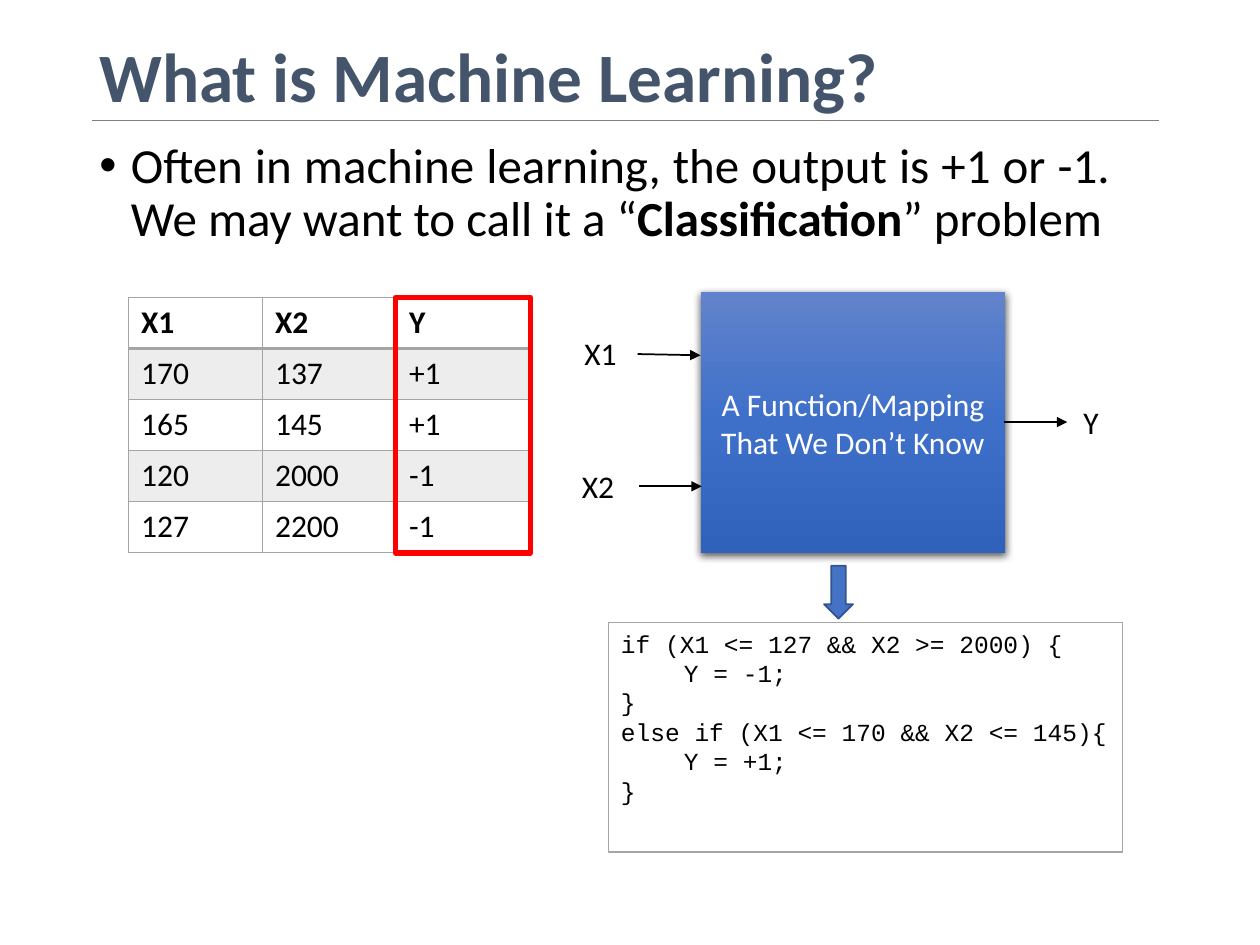
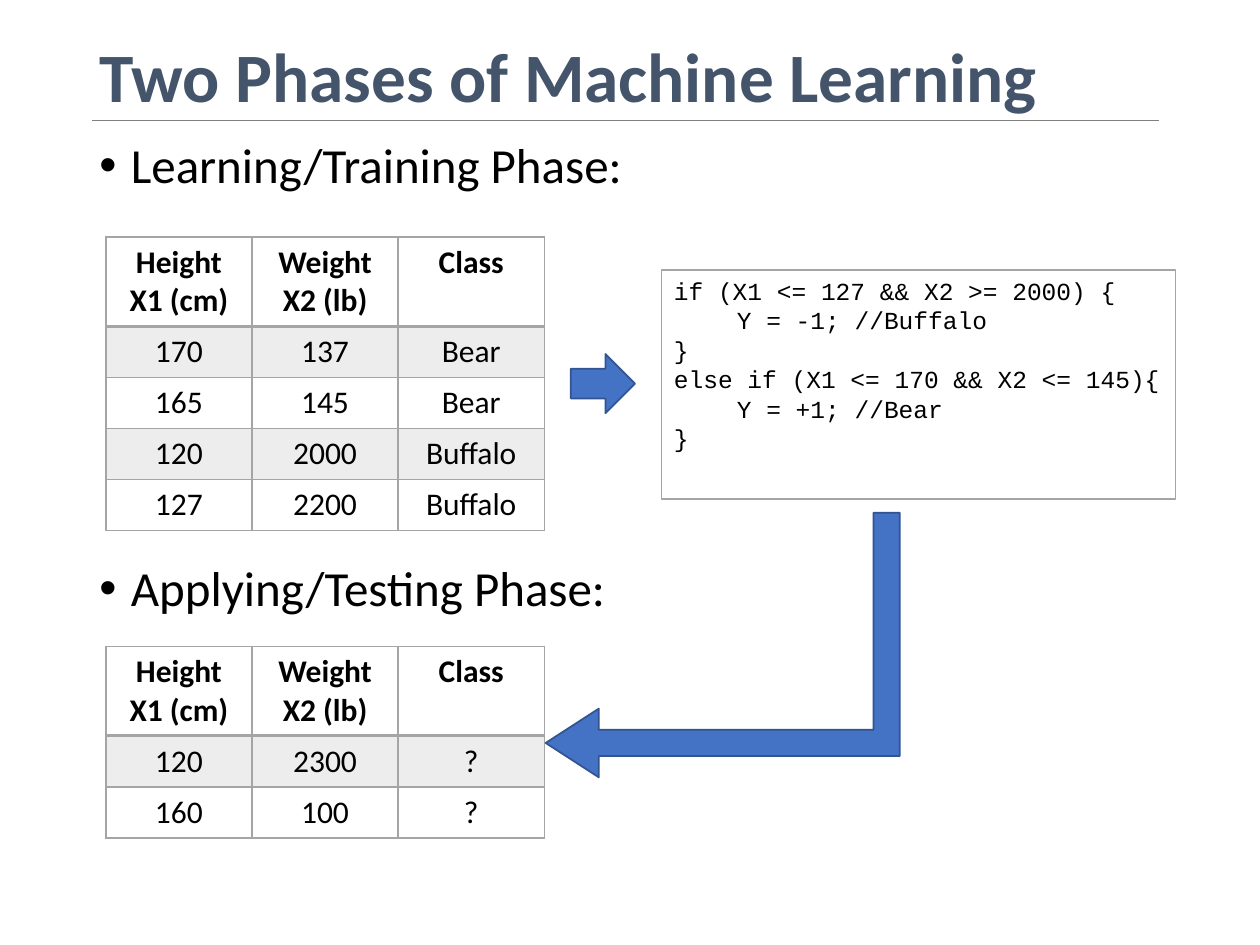
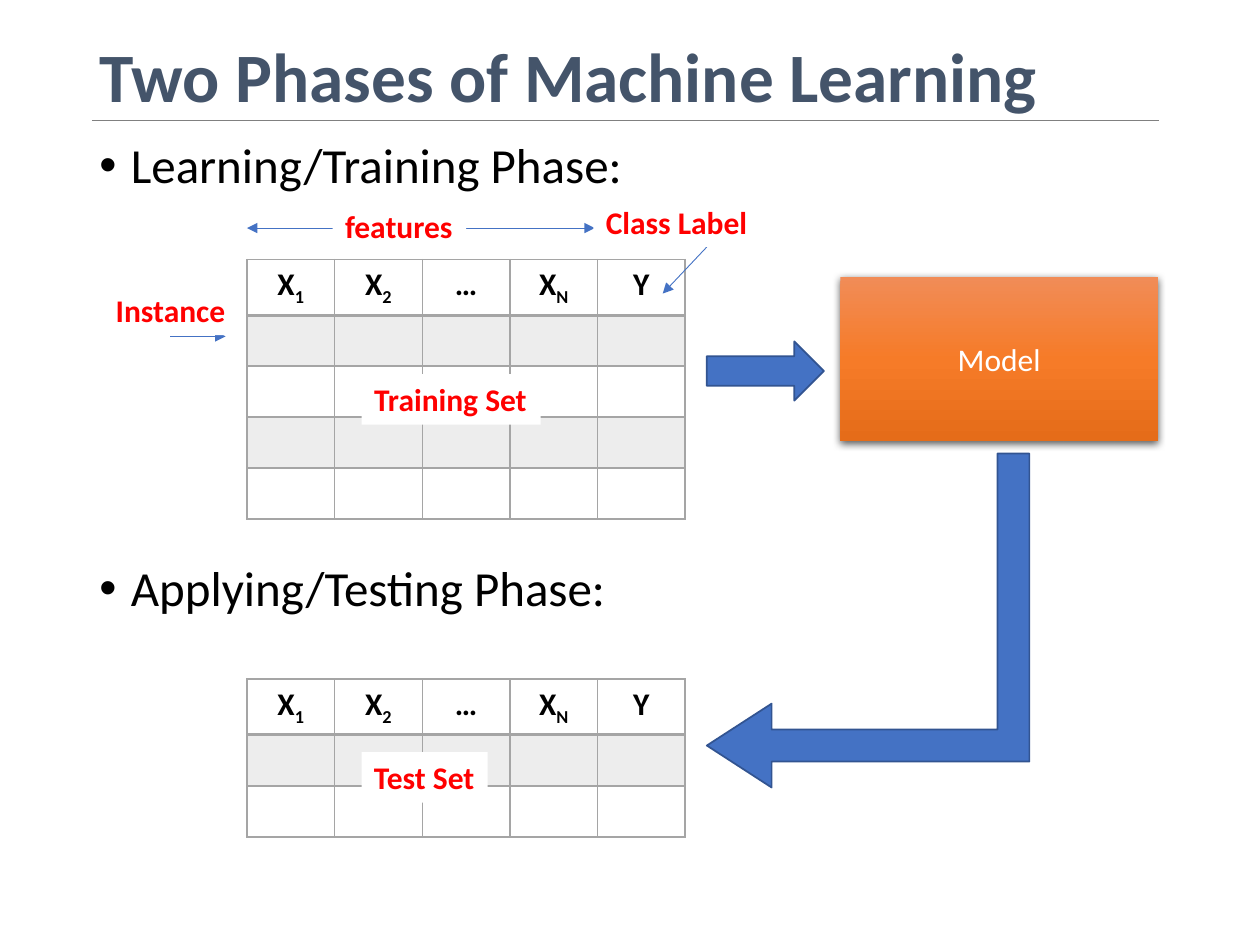
from dataclasses import dataclass

from pptx import Presentation
from pptx.dml.color import RGBColor
from pptx.enum.shapes import MSO_CONNECTOR, MSO_SHAPE as Preset
from pptx.enum.text import MSO_ANCHOR as Anchor, MSO_AUTO_SIZE as AutoSize, PP_ALIGN as Align
from pptx.oxml import parse_xml
from pptx.oxml.ns import nsdecls, qn
from pptx.util import Inches, Pt


@dataclass(frozen=True)
class Theme:
    font: str = "Calibri"
    code_font: str = "Courier New"
    title_size: float = 39.6
    bullet_size: float = 28
    text_size: float = 18
    code_size: float = 14
    title: str = "44546A"
    rule: str = "808080"
    black: str = "000000"
    white: str = "FFFFFF"
    red: str = "FF0000"
    grid: str = "A5A5A5"
    band: str = "EDEDED"
    arrow: str = "4472C4"
    arrow_edge: str = "325491"
    blue_gradient: tuple = ("6183CB", "3E70CA", "3062BB")
    orange_gradient: tuple = ("F18C57", "F67B28", "E56C19")


@dataclass(frozen=True)
class Box:
    """A rectangle in inches."""
    left: float
    top: float
    width: float
    height: float

    def lengths(self):
        return [Inches(value) for value in (self.left, self.top, self.width, self.height)]

    def offset(self, right, down, width, height):
        """Return a rectangle placed from this one's top left corner."""
        return Box(self.left + right, self.top + down, width, height)

    def point(self, right, down):
        return self.left + right, self.top + down


THEME = Theme()
TITLE_BOX = Box(0.69, 0.4, 8.62, 0.47)
BODY_BOX = Box(0.69, 1.07, 8.22, 5.68)
SECOND_BULLET_DROP = 3.36
ROW_HEIGHT = 0.405

CODE = """if (X1 <= 127 && X2 >= 2000) {{
\tY = -1;{negative}
}}
else if (X1 <= 170 && X2 <= 145){{
\tY = +1;{positive}
}}"""


def rgb(color):
    return RGBColor.from_string(color)


def drawing_xml(tag, attributes="", content=""):
    return parse_xml(f'<a:{tag} {nsdecls("a")} {attributes}>{content}</a:{tag}>')


def style_text(frame, size=THEME.text_size, color=THEME.black, bold=False,
               align=Align.LEFT, font=THEME.font):
    for paragraph in frame.paragraphs:
        paragraph.alignment = align
        paragraph.font.name = font
        paragraph.font.size = Pt(size)
        paragraph.font.bold = bold
        paragraph.font.color.rgb = rgb(color)


def add_text(slide, box, text, **style):
    frame = slide.shapes.add_textbox(*box.lengths()).text_frame
    frame.word_wrap = True
    frame.text = text
    style_text(frame, **style)
    return frame


def add_label(slide, box, text, fill=None, **style):
    """Add a one-line text box that fits its text."""
    label = slide.shapes.add_textbox(*box.lengths())
    if fill:
        label.fill.solid()
        label.fill.fore_color.rgb = rgb(fill)
    frame = label.text_frame
    frame.word_wrap = False
    frame.auto_size = AutoSize.SHAPE_TO_FIT_TEXT
    frame.text = text
    style_text(frame, **style)


def add_tag(slide, box, text):
    add_label(slide, box, text, fill=THEME.white, color=THEME.red, bold=True)


def add_preset(slide, preset, box, fill=None, edge=None, edge_width=1):
    shape = slide.shapes.add_shape(preset, *box.lengths())
    shape.shadow.inherit = False
    if fill:
        shape.fill.solid()
        shape.fill.fore_color.rgb = rgb(fill)
    else:
        shape.fill.background()
    shape.line.color.rgb = rgb(edge)
    shape.line.width = Pt(edge_width)
    return shape


def add_block_arrow(slide, preset, box):
    return add_preset(slide, preset, box, THEME.arrow, THEME.arrow_edge)


def add_return_arrow(slide, box):
    """Add an arrow that runs down the right side of the box, then left along its foot."""
    turned = box.offset((box.width - box.height) / 2, (box.height - box.width) / 2,
                        box.height, box.width)
    arrow = add_block_arrow(slide, Preset.BENT_UP_ARROW, turned)
    for index, value in enumerate((0.099, 0.13, 0.201)):
        arrow.adjustments[index] = value
    arrow.rotation = 270
    arrow._element.spPr.find(qn("a:xfrm")).set("flipH", "1")


def add_line(slide, start, end, color, width, head=False, tail=False):
    line = slide.shapes.add_connector(
        MSO_CONNECTOR.STRAIGHT, *[Inches(value) for value in (*start, *end)])
    line.line.color.rgb = rgb(color)
    line.line.width = Pt(width)
    properties = line._element.spPr
    for tag, wanted in (("headEnd", head), ("tailEnd", tail)):
        if wanted:
            properties.find(qn("a:ln")).append(drawing_xml(tag, 'type="triangle"'))
    properties.append(drawing_xml("effectLst"))


def add_gradient_box(slide, box, text, colors):
    """Add a shadowed block with a top-to-bottom gradient of three colours."""
    shape = slide.shapes.add_shape(Preset.RECTANGLE, *box.lengths())
    shape.line.fill.background()
    stops = "".join(
        f'<a:gs pos="{index * 50000}"><a:srgbClr val="{color}"/></a:gs>'
        for index, color in enumerate(colors))
    properties = shape._element.spPr
    properties.find(qn("a:ln")).addprevious(drawing_xml(
        "gradFill", 'rotWithShape="1"',
        f'<a:gsLst>{stops}</a:gsLst><a:lin ang="5400000" scaled="0"/>'))
    properties.append(drawing_xml(
        "effectLst", content=f'<a:outerShdw blurRad="{Pt(4.5)}" dist="{Pt(1.5)}" '
        'dir="5400000" algn="ctr" rotWithShape="0"><a:srgbClr val="000000">'
        '<a:alpha val="63000"/></a:srgbClr></a:outerShdw>'))
    frame = shape.text_frame
    frame.word_wrap = True
    frame.vertical_anchor = Anchor.MIDDLE
    frame.text = text
    style_text(frame, color=THEME.white, align=Align.CENTER)


def add_code(slide, left, top, negative="", positive=""):
    shape = add_preset(slide, Preset.RECTANGLE, Box(left, top, 4.08, 1.82),
                       THEME.white, THEME.grid)
    frame = shape.text_frame
    frame.word_wrap = False
    frame.vertical_anchor = Anchor.TOP
    frame.text = CODE.format(negative=negative, positive=positive)
    style_text(frame, size=THEME.code_size, font=THEME.code_font)


def set_borders(cell, top_width, bottom_width):
    properties = cell._tc.get_or_add_tcPr()
    for side, width in (("L", 1), ("R", 1), ("T", top_width), ("B", bottom_width)):
        properties.append(drawing_xml(
            f"ln{side}", f'w="{Pt(width)}"',
            f'<a:solidFill><a:srgbClr val="{THEME.grid}"/></a:solidFill>'))


def fill_cell(cell, text, bold, align):
    """Write the cell text; what follows an underscore becomes a subscript."""
    base, _, subscript = text.partition("_")
    cell.text = base
    if subscript:
        run = cell.text_frame.paragraphs[0].add_run()
        run.text = subscript
        run._r.get_or_add_rPr().set("baseline", "-25000")
    style_text(cell.text_frame, bold=bold, align=align)


def add_grid(slide, left, top, width, rows, header_height=ROW_HEIGHT, align=Align.CENTER):
    """Add a table with a bold header row and shaded odd rows."""
    box = Box(left, top, width, header_height + ROW_HEIGHT * (len(rows) - 1))
    table = slide.shapes.add_table(len(rows), len(rows[0]), *box.lengths()).table
    table.first_row = table.horz_banding = False
    for column in table.columns:
        column.width = Inches(width / len(rows[0]))
    for index, values in enumerate(rows):
        table.rows[index].height = Inches(ROW_HEIGHT if index else header_height)
        for cell, text in zip(table.rows[index].cells, values):
            set_borders(cell, 2 if index == 1 else 1, 1 if index else 2)
            if index % 2:
                cell.fill.solid()
                cell.fill.fore_color.rgb = rgb(THEME.band)
            else:
                cell.fill.background()
            fill_cell(cell, text, index == 0, align)


def add_bullet(slide, box, text):
    frame = add_text(slide, box, text, size=THEME.bullet_size, align=Align.JUSTIFY)
    paragraph = frame.paragraphs[0]
    paragraph.line_spacing = 0.9
    paragraph.space_before = Pt(10)
    properties = paragraph._p.get_or_add_pPr()
    properties.set("marL", str(Inches(0.25)))
    properties.set("indent", str(Inches(-0.25)))
    for tag, attributes in (("buFont", 'typeface="Arial"'), ("buChar", 'char="•"')):
        properties.find(qn("a:defRPr")).addprevious(drawing_xml(tag, attributes))
    return paragraph


def add_titled_slide(presentation, title):
    slide = presentation.slides.add_slide(presentation.slide_layouts[6])
    frame = add_text(slide, TITLE_BOX, title, size=THEME.title_size,
                     color=THEME.title, bold=True)
    frame.vertical_anchor = Anchor.MIDDLE
    frame.paragraphs[0].line_spacing = 0.9
    add_line(slide, (0.73, 0.96), (9.2, 0.96), THEME.rule, 0.5)
    return slide


def add_phases_slide(presentation):
    slide = add_titled_slide(presentation, "Two Phases of Machine Learning")
    drop = SECOND_BULLET_DROP
    add_bullet(slide, BODY_BOX.offset(0, 0, BODY_BOX.width, drop), "Learning/Training Phase:")
    add_bullet(slide, BODY_BOX.offset(0, drop, BODY_BOX.width, BODY_BOX.height - drop),
               "Applying/Testing Phase:")
    return slide


def add_function_diagram(slide, box):
    """Draw the unknown mapping with its two inputs and its output."""
    add_gradient_box(slide, box, "A Function/Mapping That We Don’t Know",
                     THEME.blue_gradient)
    for start, end in (((-0.5, 0.49), (0, 0.5)),
                       ((-0.49, 1.54), (0.01, 1.54)),
                       ((2.41, 1.03), (2.91, 1.03))):
        add_line(slide, box.point(*start), box.point(*end), THEME.black, 1, tail=True)
    for text, right, down, width in (("X1", -1.02, 0.28, 0.46),
                                     ("X2", -1.04, 1.34, 0.46),
                                     ("Y", 2.94, 0.83, 0.32)):
        add_label(slide, box.offset(right, down, width, 0.4), text)


def build_classification_slide(presentation):
    slide = add_titled_slide(presentation, "What is Machine Learning?")
    paragraph = add_bullet(
        slide, BODY_BOX, "Often in machine learning, the output is +1 or -1. "
        "We may want to call it a “")
    for text, bold in (("Classification", True), ("” problem", False)):
        run = paragraph.add_run()
        run.text = text
        run.font.bold = bold
    add_function_diagram(slide, Box(5.56, 2.32, 2.42, 2.07))
    samples = Box(1.02, 2.36, 3.19, 2.03)
    add_grid(slide, samples.left, samples.top, samples.width,
             [("X1", "X2", "Y"), ("170", "137", "+1"), ("165", "145", "+1"),
              ("120", "2000", "-1"), ("127", "2200", "-1")], align=Align.LEFT)
    add_preset(slide, Preset.RECTANGLE, samples.offset(2.12, 0, 1.07, samples.height),
               edge=THEME.red, edge_width=3)
    add_code(slide, 4.83, 4.94)
    add_block_arrow(slide, Preset.DOWN_ARROW, Box(6.54, 4.49, 0.23, 0.42))


def build_animals_slide(presentation):
    slide = add_phases_slide(presentation)
    header = ("Height\nX1 (cm)", "Weight\nX2 (lb)", "Class")
    training = [("170", "137", "Bear"), ("165", "145", "Bear"),
                ("120", "2000", "Buffalo"), ("127", "2200", "Buffalo")]
    testing = [("120", "2300", "?"), ("160", "100", "?")]
    for top, samples in ((1.88, training), (5.13, testing)):
        add_grid(slide, 0.84, top, 3.48, [header, *samples], header_height=0.71)
    add_code(slide, 5.25, 2.14, negative=" //Buffalo", positive=" //Bear")
    add_block_arrow(slide, Preset.RIGHT_ARROW, Box(4.53, 2.81, 0.51, 0.47))
    add_return_arrow(slide, Box(4.33, 4.07, 2.81, 2.1))


def add_sample_set(slide, box, blank_rows, name, name_drop, name_width):
    """Add a table of unnamed samples with its name laid over it."""
    header = ("X_1", "X_2", "…", "X_N", "Y")
    add_grid(slide, box.left, box.top, box.width,
             [header] + [("",) * len(header)] * blank_rows, header_height=0.44)
    add_tag(slide, box.offset(0.91, name_drop, name_width, 0.4), name)


def add_training_notes(slide, box):
    """Point out the features, the class label and an instance of the table in the box."""
    for start, end, head in (((0, -0.25), (2.76, -0.25), True),
                             ((3.65, -0.1), (3.3, 0.27), False),
                             ((-0.61, 0.61), (-0.17, 0.61), False)):
        add_line(slide, box.point(*start), box.point(*end), THEME.arrow, 0.5,
                 head=head, tail=True)
    for text, right, down, width in (("features", 0.68, -0.47, 1.06),
                                     ("Class Label", 2.75, -0.5, 1.33),
                                     ("Instance", -1.14, 0.2, 1.08)):
        add_tag(slide, box.offset(right, down, width, 0.4), text)


def build_model_slide(presentation):
    slide = add_phases_slide(presentation)
    training = Box(1.96, 2.06, 3.48, 2.06)
    add_sample_set(slide, training, 4, "Training Set", 0.91, 1.42)
    add_training_notes(slide, training)
    add_sample_set(slide, Box(1.96, 5.39, 3.48, 1.25), 2, "Test Set", 0.58, 1)
    add_gradient_box(slide, Box(6.67, 2.2, 2.52, 1.3), "Model", THEME.orange_gradient)
    add_block_arrow(slide, Preset.RIGHT_ARROW, Box(5.61, 2.71, 0.93, 0.47))
    add_return_arrow(slide, Box(5.61, 3.6, 2.56, 2.65))


def main():
    presentation = Presentation()
    presentation.slide_width, presentation.slide_height = Inches(10), Inches(7.5)
    build_classification_slide(presentation)
    build_animals_slide(presentation)
    build_model_slide(presentation)
    presentation.save("out.pptx")


if __name__ == "__main__":
    main()
